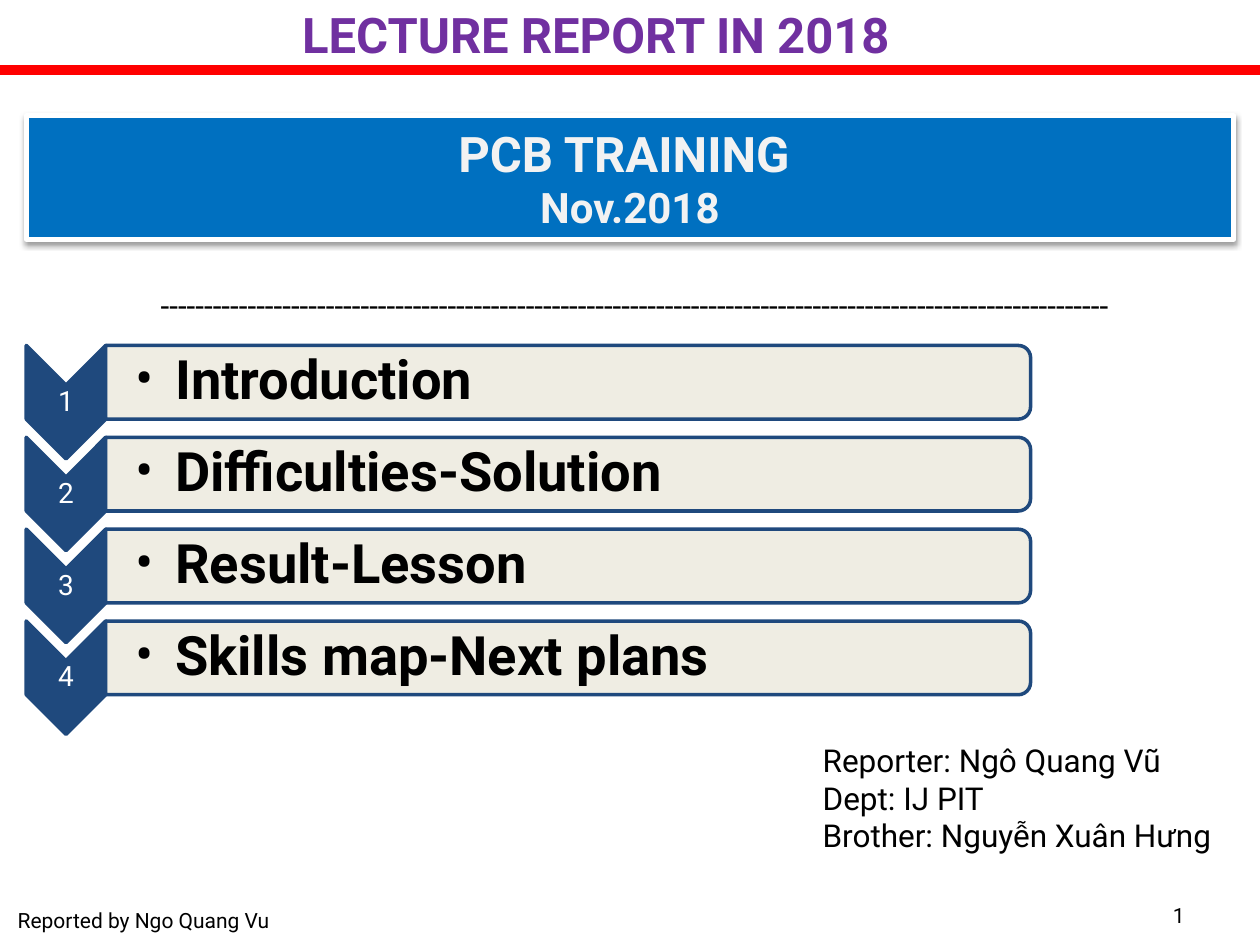
from dataclasses import dataclass

from lxml import etree
from pptx import Presentation
from pptx.dml.color import RGBColor
from pptx.enum.shapes import MSO_SHAPE
from pptx.enum.text import MSO_ANCHOR, PP_ALIGN
from pptx.oxml.ns import qn
from pptx.util import Pt

RECT = MSO_SHAPE.RECTANGLE
ARROW = MSO_SHAPE.CHEVRON
BAR = MSO_SHAPE.ROUND_2_SAME_RECTANGLE
TOP, MIDDLE = MSO_ANCHOR.TOP, MSO_ANCHOR.MIDDLE
LEFT, CENTER, RIGHT = PP_ALIGN.LEFT, PP_ALIGN.CENTER, PP_ALIGN.RIGHT


@dataclass(frozen=True)
class Theme:
    font: str = "Roboto"
    red: str = "FF0000"
    purple: str = "7030A0"
    blue: str = "0070C0"
    navy: str = "1F497D"
    cream: str = "EEECE1"
    pale: str = "F2F2F2"
    white: str = "FFFFFF"
    black: str = "000000"
    title: int = 28
    date: int = 24
    item: int = 31
    body: int = 18
    number: int = 16
    foot: int = 12


THEME = Theme()
TOPICS = ["Introduction", "Difficulties-Solution", "Result-Lesson", "Skills map-Next plans"]
INSET = (7.2, 3.6, 7.2, 3.6)
PITCH = 52.5


def add_node(parent, tag, **attrs):
    node = etree.SubElement(parent, qn(tag))
    for name, value in attrs.items():
        node.set(name, str(value))
    return node


def set_text(shape, lines, sizes, color, bold=False, align=LEFT, anchor=TOP, inset=INSET):
    frame = shape.text_frame
    frame.word_wrap = True
    frame.vertical_anchor = anchor
    frame.margin_left, frame.margin_top, frame.margin_right, frame.margin_bottom = map(Pt, inset)
    frame.text = "\n".join(lines)
    for para, size in zip(frame.paragraphs, sizes):
        para.alignment = align
        for run in para.runs:
            run.font.name = THEME.font
            run.font.size = Pt(size)
            run.font.bold = bold
            run.font.color.rgb = RGBColor.from_string(color)
    return frame


def add_label(slide, box, lines, size, color=THEME.black, **style):
    shape = slide.shapes.add_textbox(*map(Pt, box))
    return set_text(shape, lines, [size] * len(lines), color, **style)


def add_block(slide, kind, box, fill, line, width=2):
    shape = slide.shapes.add_shape(kind, *map(Pt, box))
    shape.shadow.inherit = False
    shape.fill.solid()
    shape.fill.fore_color.rgb = RGBColor.from_string(fill)
    shape.line.color.rgb = RGBColor.from_string(line)
    shape.line.width = Pt(width)
    return shape


def add_turned(slide, kind, box, fill):
    left, top, width, height = box
    shift = (width - height) / 2
    shape = add_block(slide, kind, (left + shift, top - shift, height, width), fill, THEME.navy)
    shape.rotation = 90
    return shape


def add_banner(slide):
    shape = add_block(slide, RECT, (15, 66.2, 690, 70.6), THEME.blue, THEME.white, 3)
    effects = shape._element.spPr.find(qn("a:effectLst"))
    shadow = add_node(effects, "a:outerShdw", blurRad=Pt(3.1), dist=Pt(1.6),
                      dir=5400000, rotWithShape=0)
    color = add_node(shadow, "a:srgbClr", val=THEME.black)
    add_node(color, "a:alpha", val=38000)
    set_text(shape, ["PCB TRAINING ", "Nov.2018"], [THEME.title, THEME.date],
             THEME.pale, bold=True, align=CENTER, anchor=MIDDLE)


def add_topic(slide, index, name):
    top = 197.4 + index * PITCH
    add_turned(slide, ARROW, (15, top, 45.4, 64.8), THEME.navy)
    frame = add_label(slide, (15, top + 22.7, 45.4, 19.5), [str(index + 1)], THEME.number,
                      THEME.white, align=CENTER, anchor=MIDDLE, inset=(0.7,) * 4)
    frame.paragraphs[0].line_spacing = 0.9

    bar = add_turned(slide, BAR, (60.4, top, 528.5, 42.1), THEME.cream)
    color = bar.fill._xPr.find(qn("a:solidFill"))[0]
    add_node(color, "a:alpha", val=90000)
    frame = add_label(slide, (60.4, top + 2.1, 526.3, 38), [name], THEME.item, bold=True,
                      anchor=MIDDLE, inset=(17.3, 1.4, 1.4, 1.4))
    para = frame.paragraphs[0]
    para.line_spacing = 0.9
    props = para._p.get_or_add_pPr()
    props.set("marL", str(Pt(22.5)))
    props.set("indent", str(Pt(-22.5)))
    add_node(props, "a:buFont", typeface=THEME.font)
    add_node(props, "a:buChar", char="•")


def main():
    deck = Presentation()
    deck.slide_width, deck.slide_height = Pt(720), Pt(540)
    slide = deck.slides.add_slide(deck.slide_layouts[6])
    add_block(slide, RECT, (0, 38.2, 720, 3.6), THEME.red, THEME.red)
    add_label(slide, (165.6, -0.7, 391.7, 41), ["LECTURE REPORT IN 2018"],
              THEME.title, THEME.purple, bold=True)
    add_banner(slide)
    add_label(slide, (0, 159.8, 725.8, 28.8), ["-" * 109], THEME.body, align=CENTER)
    for index, name in enumerate(TOPICS):
        add_topic(slide, index, name)
    add_label(slide, (463, 419.8, 241.9, 72.7),
              ["Reporter: Ngô Quang Vũ", "Dept: IJ PIT", "Brother: Nguyễn Xuân Hưng"],
              THEME.body)
    add_label(slide, (0, 511.2, 164.2, 28.8), ["Reported by Ngo Quang Vu"],
              THEME.foot, align=CENTER, anchor=MIDDLE)
    add_label(slide, (516.2, 508.3, 167.8, 28.8), ["1"],
              THEME.foot, align=RIGHT, anchor=MIDDLE)
    deck.save("out.pptx")


if __name__ == "__main__":
    main()
